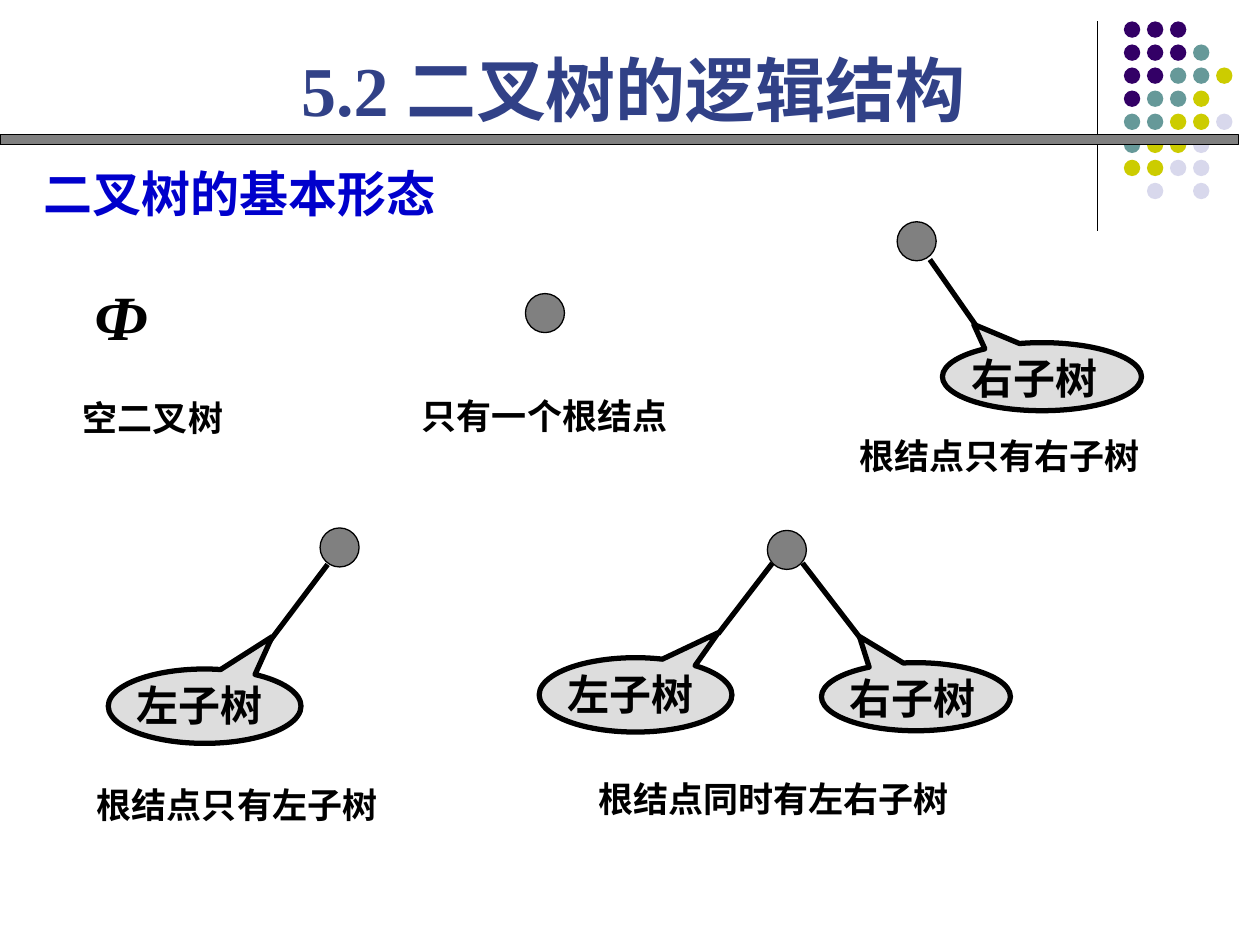
from lxml import etree
from pptx import Presentation
from pptx.dml.color import RGBColor
from pptx.enum.shapes import MSO_CONNECTOR as CONN, MSO_SHAPE as SHAPE
from pptx.enum.text import MSO_ANCHOR as ANCHOR, MSO_AUTO_SIZE as AUTO, PP_ALIGN as ALIGN
from pptx.oxml.ns import qn
from pptx.util import Inches, Pt


def rgb(value):
    return RGBColor.from_string(value)


def write(sp, text, size, color="000000", italic=False, align=ALIGN.LEFT,
          inset=(0.1, 0.05), wrap=True):
    tf = sp.text_frame
    tf.auto_size = AUTO.NONE
    tf.word_wrap = wrap
    tf.vertical_anchor = ANCHOR.TOP
    tf.margin_left = tf.margin_right = Inches(inset[0])
    tf.margin_top = tf.margin_bottom = Inches(inset[1])
    p = tf.paragraphs[0]
    p.alignment = align
    r = p.add_run()
    r.text = text
    r.font.name = TreeSlide.FONT
    r.font.size = Pt(size)
    r.font.bold = True
    r.font.italic = italic
    r.font.color.rgb = rgb(color)


class TreeSlide:
    FONT = "Times New Roman"
    INK, GRAY, PALE = "000000", "808080", "DDDDDD"
    NODE = 0.31
    THIN, THICK = 0.75, 3

    def __init__(self, prs):
        self.s = prs.slides.add_slide(prs.slide_layouts[5])

    def title(self, text, x, y, w, h):
        sp = self.s.shapes.title
        sp.left, sp.top, sp.width, sp.height = map(Inches, (x, y, w, h))
        write(sp, text, 40, color="314187", align=ALIGN.JUSTIFY)

    def text(self, text, x, y, w, h, size=20, **fmt):
        sp = self.s.shapes.add_textbox(*map(Inches, (x, y, w, h)))
        write(sp, text, size, **fmt)

    def shape(self, kind, x, y, w, h, fill, line=None):
        sp = self.s.shapes.add_shape(kind, *map(Inches, (x, y, w, h)))
        sp.shadow.inherit = False
        sp.fill.solid()
        sp.fill.fore_color.rgb = rgb(fill)
        if line:
            sp.line.color.rgb = rgb(self.INK)
            sp.line.width = Pt(line)
        else:
            sp.line.fill.background()
        return sp

    def node(self, x, y):
        self.shape(SHAPE.OVAL, x, y, self.NODE, self.NODE, self.GRAY, self.THIN)

    def line(self, x1, y1, x2, y2, width):
        cn = self.s.shapes.add_connector(CONN.STRAIGHT, *map(Inches, (x1, y1, x2, y2)))
        cn.line.color.rgb = rgb(self.INK)
        cn.line.width = Pt(width)
        etree.SubElement(cn._element.spPr, qn("a:effectLst"))

    def subtree(self, text, edge, box, tip):
        """An edge that leads to the tip of a callout."""
        self.line(*edge, self.THICK)
        sp = self.shape(SHAPE.OVAL_CALLOUT, *box, self.PALE, self.THICK)
        sp.adjustments[0], sp.adjustments[1] = tip
        write(sp, text, 24, align=ALIGN.JUSTIFY, inset=(0, 0))

    def dots(self, rows, colors, x, y, pitch, size):
        for i, row in enumerate(rows):
            for j, key in enumerate(row):
                if key in colors:
                    self.shape(SHAPE.OVAL, x + j * pitch, y + i * pitch,
                               size, size, colors[key])


def main():
    prs = Presentation()
    prs.slide_width, prs.slide_height = Inches(10), Inches(7.5)
    slide = TreeSlide(prs)

    # Corner ornament and bar under the title
    slide.line(8.71, 0.17, 8.71, 1.83, slide.THIN)
    slide.dots(["PPP", "PPPT", "PPTTY", "PTTY", "TTYYL", "TYYL", "YYLL", " L L"],
               {"P": "330066", "T": "669999", "Y": "CCCC00", "L": "D8D8EC"},
               x=8.92, y=0.17, pitch=0.183, size=0.13)
    slide.shape(SHAPE.RECTANGLE, 0, 1.07, 9.83, 0.08, slide.GRAY, slide.THIN)

    # Headings
    slide.title("5.2 二叉树的逻辑结构", 2.29, 0.32, 6.38, 0.77)
    slide.text("二叉树的基本形态", 0.25, 1.25, 5.17, 0.57, size=28, color="0000CC")

    # Empty tree
    slide.text("Ф", 0.75, 2.2, 0.99, 0.94, size=36, italic=True,
               align=ALIGN.JUSTIFY, inset=(0, 0))

    # Root nodes: single, left only, right only, both
    for x, y in [(4.17, 2.33), (2.54, 4.19), (7.12, 1.76), (6.09, 4.21)]:
        slide.node(x, y)

    # Subtrees: edge, callout box, callout tip
    left, right = "左子树", "右子树"
    for text, edge, box, tip in [
        (left, (2.6, 4.48, 2.14, 5.09), (0.86, 5.31, 1.53, 0.59), (0.35, -0.935)),
        (right, (7.38, 2.06, 7.75, 2.59), (7.48, 2.72, 1.58, 0.54), (-0.343, -0.769)),
        (left, (6.13, 4.47, 5.7, 5.03), (4.28, 5.22, 1.53, 0.59), (0.429, -0.837)),
        (right, (6.37, 4.47, 6.84, 5.08), (6.52, 5.26, 1.5, 0.54), (-0.299, -0.885)),
    ]:
        slide.subtree(text, edge, box, tip)

    # Captions
    for text, x, y, w in [
        ("空二叉树", 0.56, 3.1, 1.83),
        ("只有一个根结点", 3.25, 3.08, 2.25),
        ("根结点只有左子树", 0.67, 6.17, 2.58),
        ("根结点只有右子树", 6.72, 3.4, 2.5),
        ("根结点同时有左右子树", 4.65, 6.12, 3.05),
    ]:
        slide.text(text, x, y, w, 0.44)

    prs.save("out.pptx")


if __name__ == "__main__":
    main()
